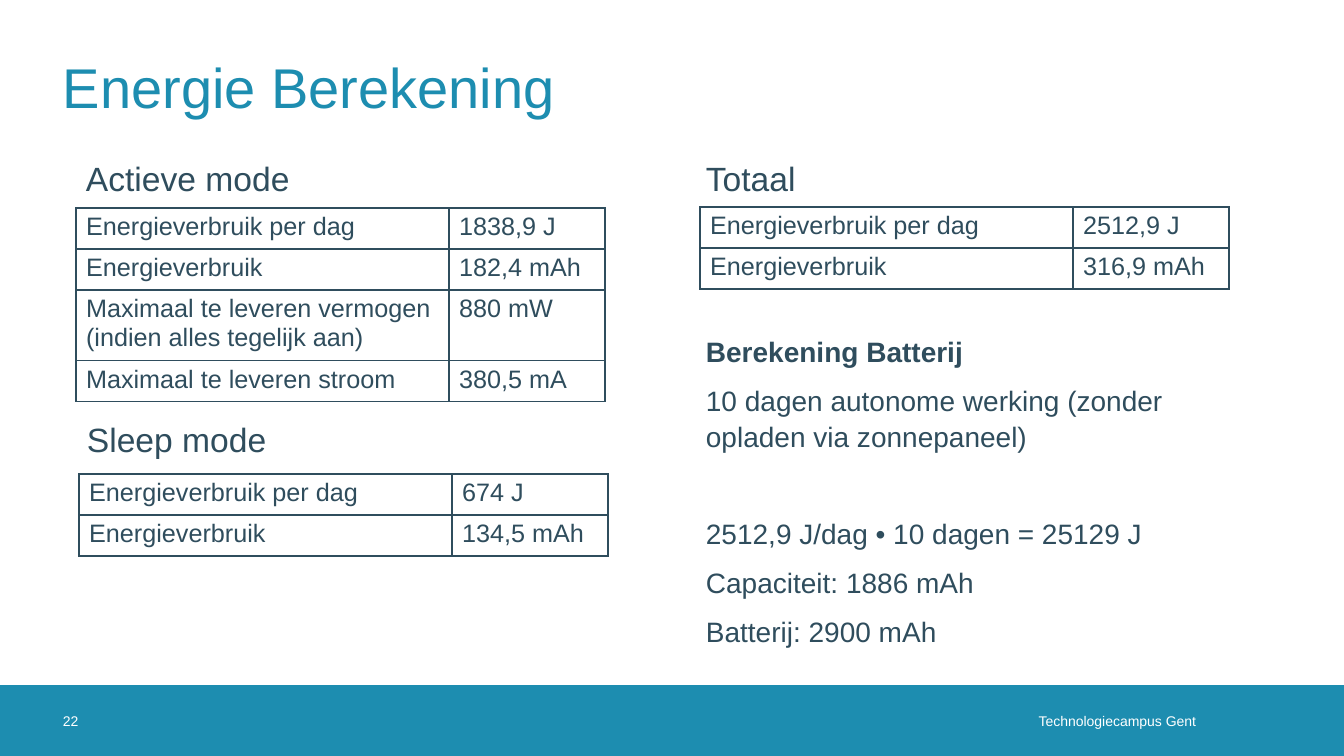
from pptx import Presentation
from pptx.dml.color import RGBColor
from pptx.enum.shapes import MSO_SHAPE
from pptx.enum.text import MSO_ANCHOR, PP_ALIGN
from pptx.oxml import parse_xml
from pptx.oxml.ns import nsdecls
from pptx.util import Pt

# Content
TITLE = "Energie Berekening"
PAGE_NUMBER = "22"
FOOTER = "Technologiecampus Gent"
HEADINGS = [  # text, left, top
    ("Actieve mode", 76, 157),
    ("Sleep mode", 77, 418),
    ("Totaal", 696, 157),
]
TABLES = [  # left, top, rows
    (76, 208, [
        ("Energieverbruik per dag", "1838,9 J"),
        ("Energieverbruik", "182,4 mAh"),
        ("Maximaal te leveren vermogen\n(indien alles tegelijk aan)", "880 mW"),
        ("Maximaal te leveren stroom", "380,5 mA"),
    ]),
    (79, 474, [
        ("Energieverbruik per dag", "674 J"),
        ("Energieverbruik", "134,5 mAh"),
    ]),
    (700, 207, [
        ("Energieverbruik per dag", "2512,9 J"),
        ("Energieverbruik", "316,9 mAh"),
    ]),
]
BATTERY = [  # text, bold, points before
    ("Berekening Batterij", True, 0),
    ("10 dagen autonome werking (zonder opladen via zonnepaneel)", False, 10),
    ("2512,9 J/dag • 10 dagen = 25129 J", False, 44),
    ("Capaciteit: 1886 mAh", False, 10),
    ("Batterij: 2900 mAh", False, 10),
]

# Format
BLUE = RGBColor(0x1D, 0x8D, 0xB0)
SLATE = RGBColor(0x2F, 0x4D, 0x5D)
WHITE = RGBColor(0xFF, 0xFF, 0xFF)
WIDTH, HEIGHT = 1344, 756
BAND_TOP, BAND_HEIGHT = 685, 71
COLUMNS = (373, 156)
ROW_HEIGHT, EXTRA_LINE = 41, 26
SCALE = 12192000 / WIDTH
NO_MARGINS = dict(margin_left=0, margin_top=0, margin_right=0, margin_bottom=0)
MIDDLE = dict(NO_MARGINS, vertical_anchor=MSO_ANCHOR.MIDDLE)


def px(value):
    return round(value * SCALE)


def set_all(target, values):
    for name, value in values.items():
        setattr(target, name, value)


def style_font(font, size, color, bold=False):
    set_all(font, dict(name="Arial", size=Pt(size), bold=bold))
    font.color.rgb = color


def add_text(page, area, lines, size, color, frame_format=None, para_format=None):
    frame = page.shapes.add_textbox(*map(px, area)).text_frame
    set_all(frame, dict(frame_format or {}, word_wrap=True))
    for index, (text, bold, before) in enumerate(lines):
        para = frame.add_paragraph() if index else frame.paragraphs[0]
        set_all(para, dict(para_format or {}, space_before=Pt(before)))
        span = para.add_run()
        span.text = text
        style_font(span.font, size, color, bold)


def add_borders(cell):
    properties = cell._tc.get_or_add_tcPr()
    for position, side in enumerate(("lnL", "lnR", "lnT", "lnB")):
        properties.insert(position, parse_xml(
            f'<a:{side} {nsdecls("a")} w="{Pt(1)}"><a:solidFill>'
            f'<a:srgbClr val="{SLATE}"/></a:solidFill></a:{side}>'))


def add_energy_table(page, left, top, rows):
    heights = [ROW_HEIGHT + EXTRA_LINE * row[0].count("\n") for row in rows]
    area = (left, top, sum(COLUMNS), sum(heights))
    table = page.shapes.add_table(len(rows), len(COLUMNS), *map(px, area)).table
    set_all(table, dict(first_row=False, horz_banding=False))
    for column, width in zip(table.columns, COLUMNS):
        column.width = px(width)
    for table_row, height, texts in zip(table.rows, heights, rows):
        table_row.height = px(height)
        for cell, text in zip(table_row.cells, texts):
            cell.text = text
            cell.fill.background()
            add_borders(cell)
            for para in cell.text_frame.paragraphs:
                for span in para.runs:
                    style_font(span.font, 18, SLATE)


deck = Presentation()
set_all(deck, dict(slide_width=px(WIDTH), slide_height=px(HEIGHT)))
page = deck.slides.add_slide(deck.slide_layouts[6])

# Footer band
band = page.shapes.add_shape(
    MSO_SHAPE.RECTANGLE, *map(px, (0, BAND_TOP, WIDTH, BAND_HEIGHT)))
band.shadow.inherit = False
band.fill.solid()
band.fill.fore_color.rgb = BLUE
band.line.fill.background()
add_text(page, (63, BAND_TOP, 72, BAND_HEIGHT), [(PAGE_NUMBER, False, 0)],
         10, WHITE, MIDDLE)
add_text(page, (665, BAND_TOP, 551, BAND_HEIGHT), [(FOOTER, False, 0)],
         10, WHITE, dict(MIDDLE, margin_right=px(20)),
         dict(alignment=PP_ALIGN.RIGHT))

# Title and headings
add_text(page, (63, 23, 1217, 127), [(TITLE, False, 0)], 40, BLUE, MIDDLE)
for text, left, top in HEADINGS:
    add_text(page, (left, top, 263, 49), [(text, False, 0)], 24, SLATE,
             para_format=dict(line_spacing=0.9))

# Energy tables
for left, top, rows in TABLES:
    add_energy_table(page, left, top, rows)

# Battery calculation
add_text(page, (696, 328, 520, 338), BATTERY, 20, SLATE,
         para_format=dict(line_spacing=1.05))

deck.save("out.pptx")
